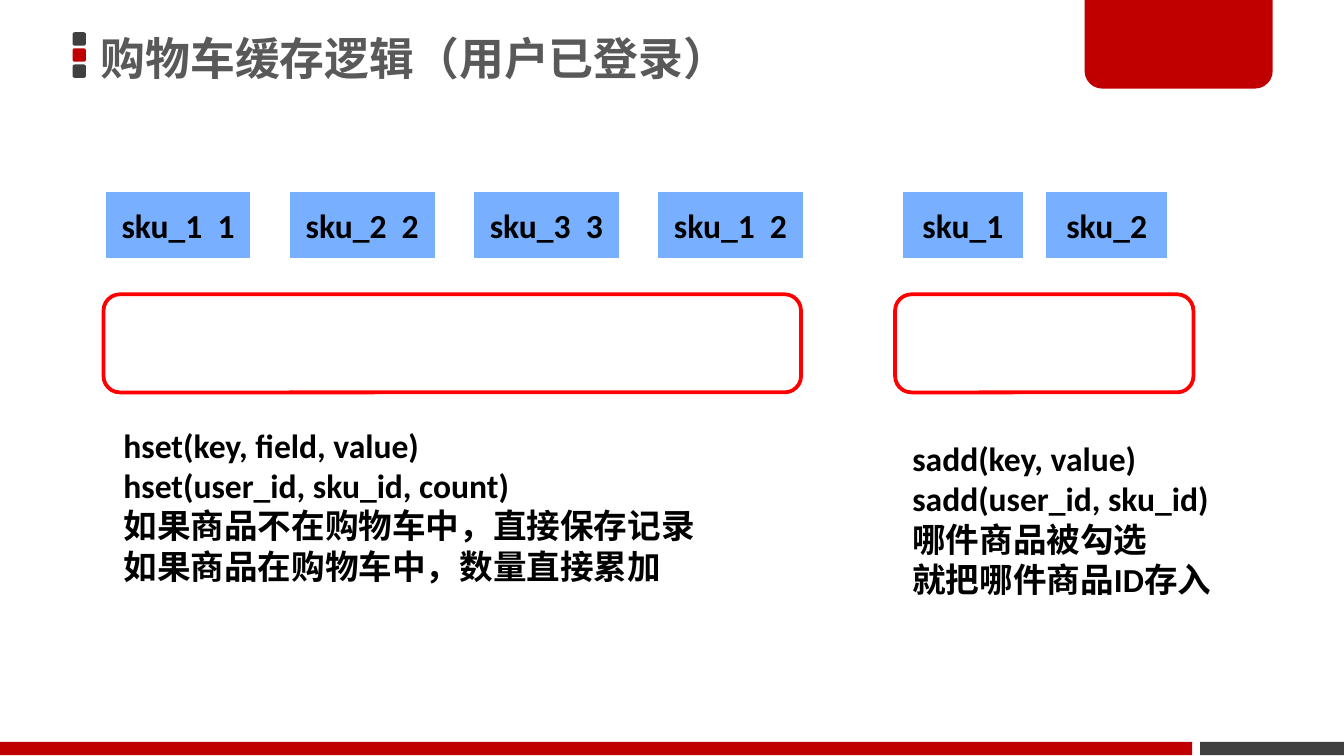
from lxml import etree
from pptx import Presentation
from pptx.dml.color import RGBColor
from pptx.enum.shapes import MSO_SHAPE
from pptx.enum.text import MSO_ANCHOR, MSO_AUTO_SIZE, PP_ALIGN
from pptx.oxml.ns import qn
from pptx.util import Inches, Pt

RECTANGLE = MSO_SHAPE.RECTANGLE
ROUNDED = MSO_SHAPE.ROUNDED_RECTANGLE
ROUNDED_PAIR = MSO_SHAPE.ROUND_2_SAME_RECTANGLE
MIDDLE = MSO_ANCHOR.MIDDLE
TOP = MSO_ANCHOR.TOP
CENTER = PP_ALIGN.CENTER
LEFT = PP_ALIGN.LEFT
NO_AUTOFIT = MSO_AUTO_SIZE.NONE
FIT_SHAPE = MSO_AUTO_SIZE.SHAPE_TO_FIT_TEXT

COLORS = {
    "red": "C00000",
    "dark": "404040",
    "title": "595959",
    "cell": "79AFFF",
    "outline": "FF0000",
    "white": "FFFFFF",
    "text": "000000",
}
LATIN_FONT = "Calibri"
CHINESE_FONT = "Noto Sans CJK SC"
TITLE_ONLY = 5


class SlideBuilder:
    """Holds the slide being built and its style."""

    def __init__(self, slide):
        self.slide = slide

    def format_run(self, run, size, color, font_name):
        run.font.size = Pt(size)
        run.font.bold = True
        run.font.name = font_name
        run.font.color.rgb = RGBColor.from_string(COLORS[color])
        east_asian = etree.SubElement(run.font._element, qn("a:ea"))
        east_asian.set("typeface", CHINESE_FONT)

    def title(self, text, left, top, width, height):
        shape = self.slide.shapes.title
        shape.left, shape.top = Inches(left), Inches(top)
        shape.width, shape.height = Inches(width), Inches(height)
        frame = shape.text_frame
        frame.text = text
        frame.auto_size = NO_AUTOFIT
        frame.vertical_anchor = MIDDLE
        frame.margin_left = frame.margin_right = Inches(0.08)
        frame.margin_top = frame.margin_bottom = Inches(0.04)
        paragraph = frame.paragraphs[0]
        paragraph.alignment = LEFT
        paragraph.line_spacing = 0.9
        self.format_run(paragraph.runs[0], 24, "title", CHINESE_FONT)

    def block(self, kind, left, top, width, height, fill, line=None):
        shape = self.slide.shapes.add_shape(
            kind, Inches(left), Inches(top), Inches(width), Inches(height))
        shape.shadow.inherit = False
        shape.fill.solid()
        shape.fill.fore_color.rgb = RGBColor.from_string(COLORS[fill])
        if line:
            shape.line.color.rgb = RGBColor.from_string(COLORS[line])
            shape.line.width = Pt(2)
            outline = shape.element.spPr.find(qn("a:ln"))
            etree.SubElement(outline, qn("a:miter")).set("lim", "800000")
        else:
            shape.line.fill.background()
        return shape

    def cell(self, words, left, width):
        """Add a blue cell whose words stand a wide space apart."""
        shape = self.block(RECTANGLE, left, 1.44, width, 0.47, "cell", "cell")
        frame = shape.text_frame
        frame.word_wrap = True
        frame.vertical_anchor = MIDDLE
        paragraph = frame.paragraphs[0]
        paragraph.alignment = CENTER
        for index, word in enumerate(words):
            if index:
                space = paragraph.add_run()
                space.text = " "
                self.format_run(space, 18, "text", LATIN_FONT)
                space.font._element.set("spc", "400")
            run = paragraph.add_run()
            run.text = word
            self.format_run(run, 18, "text", LATIN_FONT)

    def notes(self, lines, left, top, width, height):
        box = self.slide.shapes.add_textbox(
            Inches(left), Inches(top), Inches(width), Inches(height))
        frame = box.text_frame
        frame.text = "\n".join(lines)
        frame.word_wrap = False
        frame.auto_size = FIT_SHAPE
        frame.vertical_anchor = TOP
        for paragraph in frame.paragraphs:
            self.format_run(paragraph.runs[0], 18, "text", LATIN_FONT)


def add_decoration(builder):
    for index, color in enumerate(("dark", "red", "dark")):
        builder.block(ROUNDED, 0.54, 0.24 + 0.12 * index, 0.1, 0.1, color)
    builder.block(RECTANGLE, 8.93, 5.52, 1.07, 0.1, "dark")
    builder.block(RECTANGLE, 0, 5.52, 8.87, 0.1, "red")
    tab = builder.block(ROUNDED_PAIR, 8.07, 0, 1.4, 0.66, "red")
    tab.adjustments[0] = 0
    tab.adjustments[1] = 0.2


def main():
    presentation = Presentation()
    presentation.slide_width = Inches(10)
    presentation.slide_height = Inches(10) * 9 // 16
    layout = presentation.slide_layouts[TITLE_ONLY]
    builder = SlideBuilder(presentation.slides.add_slide(layout))

    add_decoration(builder)
    builder.title("购物车缓存逻辑（用户已登录）", 0.67, 0.01, 5.02, 0.89)

    for left, width in ((0.77, 5.19), (6.66, 2.22)):
        builder.block(ROUNDED, left, 2.19, width, 0.73, "white", "outline")

    counts = (("sku_1", "1"), ("sku_2", "2"), ("sku_3", "3"), ("sku_1", "2"))
    for index, words in enumerate(counts):
        builder.cell(words, 0.8 + 1.37 * index, 1.05)
    for index, sku in enumerate(("sku_1", "sku_2")):
        builder.cell((sku,), 6.73 + 1.07 * index, 0.87)

    builder.notes((
        "hset(key, field, value)",
        "hset(user_id, sku_id, count)",
        "如果商品不在购物车中，直接保存记录",
        "如果商品在购物车中，数量直接累加",
    ), 0.82, 3.11, 4.45, 1.3)
    builder.notes((
        "sadd(key, value)",
        "sadd(user_id, sku_id)",
        "哪件商品被勾选",
        "就把哪件商品ID存入",
    ), 6.69, 3.21, 2.56, 1.3)

    presentation.save("out.pptx")


if __name__ == "__main__":
    main()
